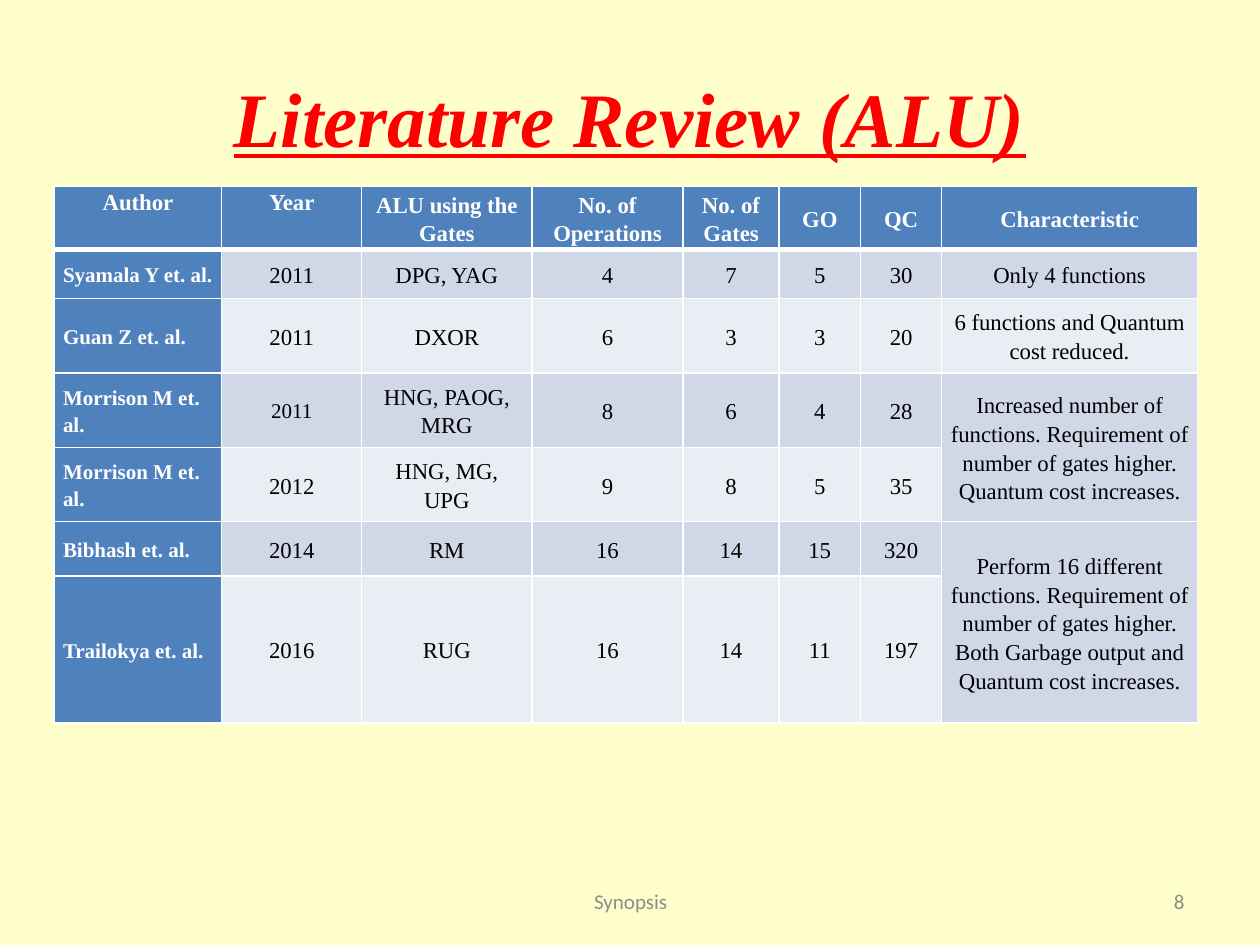
from dataclasses import dataclass

from lxml import etree
from pptx import Presentation
from pptx.dml.color import RGBColor
from pptx.enum.text import MSO_ANCHOR, PP_ALIGN
from pptx.oxml.ns import qn
from pptx.util import Cm, Pt

LEFT, CENTER, RIGHT = PP_ALIGN.LEFT, PP_ALIGN.CENTER, PP_ALIGN.RIGHT
TOP, MIDDLE = MSO_ANCHOR.TOP, MSO_ANCHOR.MIDDLE

SERIF, SANS = "Times New Roman", "Calibri"
BACKGROUND, RED, GREY = "FFFFCC", "FF0000", "8C8C8C"
WHITE, BLACK, BLUE = "FFFFFF", "000000", "4F81BD"
BANDS = ("D0D8E8", "E9EDF4")

COLUMN_WIDTHS = (3.38, 2.82, 3.43, 3.05, 1.93, 1.65, 1.63, 5.16)
ROW_HEIGHTS = (1.04, 0.99, 1.5, 1.5, 1.5, 1.09, 2.97)
TABLE_HEIGHT = 11.15

HEADERS = ("Author", "Year", "ALU using the Gates", "No. of Operations",
           "No. of Gates", "GO", "QC", "Characteristic")
STUDIES = (
    ("Syamala Y et. al.", "2011", "DPG, YAG", "4", "7", "5", "30",
     "Only 4 functions"),
    ("Guan Z et. al.", "2011", "DXOR", "6", "3", "3", "20",
     "6 functions and Quantum cost reduced."),
    ("Morrison M et. al.", "2011", "HNG, PAOG, MRG", "8", "6", "4", "28",
     "Increased number of functions. Requirement of number of gates higher. "
     "Quantum cost increases."),
    ("Morrison M et. al.", "2012", "HNG, MG, UPG", "9", "8", "5", "35", ""),
    ("Bibhash et. al.", "2014", "RM", "16", "14", "15", "320",
     "Perform 16 different functions. Requirement of number of gates higher. "
     "Both Garbage output and Quantum cost increases."),
    ("Trailokya et. al.", "2016", "RUG", "16", "14", "11", "197", ""),
)
MERGED_ROWS = ((3, 4), (5, 6))
SMALL_YEAR = (3, 1)


@dataclass(frozen=True)
class TextStyle:
    size: float
    color: str
    font: str = SERIF
    align: PP_ALIGN = CENTER
    bold: bool = False
    italic: bool = False
    underline: bool = False


@dataclass(frozen=True)
class Label:
    text: str
    left: float
    top: float
    width: float
    height: float
    style: TextStyle


LABELS = (
    Label("Literature Review (ALU)", 1.27, 0.76, 22.86, 3.18,
          TextStyle(44, RED, bold=True, italic=True, underline=True)),
    Label("Synopsis", 8.69, 17.65, 8.05, 1.02, TextStyle(12, GREY, SANS)),
    Label("8", 18.21, 17.65, 5.92, 1.02, TextStyle(12, GREY, SANS, RIGHT)),
)
HEADER_STYLE = TextStyle(13, WHITE, bold=True)
AUTHOR_STYLE = TextStyle(12, WHITE, align=LEFT, bold=True)
BODY_STYLE = TextStyle(13, BLACK)
SMALL_STYLE = TextStyle(12, BLACK)


def set_color(target, color: str) -> None:
    target.rgb = RGBColor.from_string(color)


def set_fill(fill, color: str) -> None:
    fill.solid()
    set_color(fill.fore_color, color)


def write(paragraph, text: str, style: TextStyle) -> None:
    paragraph.text = text
    paragraph.alignment = style.align
    font = paragraph.font
    font.name, font.size = style.font, Pt(style.size)
    font.bold, font.italic = style.bold, style.italic
    font.underline = style.underline
    set_color(font.color, style.color)


def add_label(slide, label: Label) -> None:
    box = slide.shapes.add_textbox(Cm(label.left), Cm(label.top),
                                   Cm(label.width), Cm(label.height))
    box.text_frame.word_wrap = True
    box.text_frame.vertical_anchor = MIDDLE
    write(box.text_frame.paragraphs[0], label.text, label.style)


def set_borders(cell, bottom: float, top: float) -> None:
    """Draw white cell borders; they must precede the fill in the XML."""
    properties = cell._tc.get_or_add_tcPr()
    widths = {"a:lnL": 1, "a:lnR": 1, "a:lnT": top, "a:lnB": bottom}
    for index, (tag, width) in enumerate(widths.items()):
        line = etree.Element(qn(tag), w=str(Pt(width)))
        fill = etree.SubElement(line, qn("a:solidFill"))
        etree.SubElement(fill, qn("a:srgbClr"), val=WHITE)
        properties.insert(index, line)


def cell_style(row: int, column: int) -> TextStyle:
    if row == 0:
        return HEADER_STYLE
    if column == 0:
        return AUTHOR_STYLE
    return SMALL_STYLE if (row, column) == SMALL_YEAR else BODY_STYLE


def format_cell(cell, text: str, row: int, column: int) -> None:
    cell.margin_left = cell.margin_right = Cm(0.18)
    cell.margin_top = cell.margin_bottom = 0
    cell.vertical_anchor = TOP if row == 0 and column < 2 else MIDDLE
    paragraph = cell.text_frame.paragraphs[0]
    write(paragraph, text, cell_style(row, column))
    paragraph.line_spacing = 1.15
    is_heading = row == 0 or column == 0
    set_fill(cell.fill, BLUE if is_heading else BANDS[(row - 1) % 2])
    set_borders(cell, bottom=3 if row == 0 else 1, top=3 if row == 1 else 1)


def add_review_table(slide) -> None:
    frame = slide.shapes.add_table(
        len(ROW_HEIGHTS), len(COLUMN_WIDTHS), Cm(1.09), Cm(3.76),
        Cm(sum(COLUMN_WIDTHS)), Cm(TABLE_HEIGHT))
    table = frame.table
    for column, width in zip(table.columns, COLUMN_WIDTHS):
        column.width = Cm(width)
    for row, height in zip(table.rows, ROW_HEIGHTS):
        row.height = Cm(height)
    frame.height = Cm(TABLE_HEIGHT)
    for row, texts in enumerate((HEADERS, *STUDIES)):
        for column, text in enumerate(texts):
            format_cell(table.cell(row, column), text, row, column)
    last = len(COLUMN_WIDTHS) - 1
    for first_row, last_row in MERGED_ROWS:
        table.cell(first_row, last).merge(table.cell(last_row, last))


def main() -> None:
    presentation = Presentation()
    presentation.slide_width, presentation.slide_height = Cm(25.4), Cm(19.05)
    slide = presentation.slides.add_slide(presentation.slide_layouts[6])
    set_fill(slide.background.fill, BACKGROUND)
    title, *footers = LABELS
    add_label(slide, title)
    add_review_table(slide)
    for footer in footers:
        add_label(slide, footer)
    presentation.save("out.pptx")


if __name__ == "__main__":
    main()
